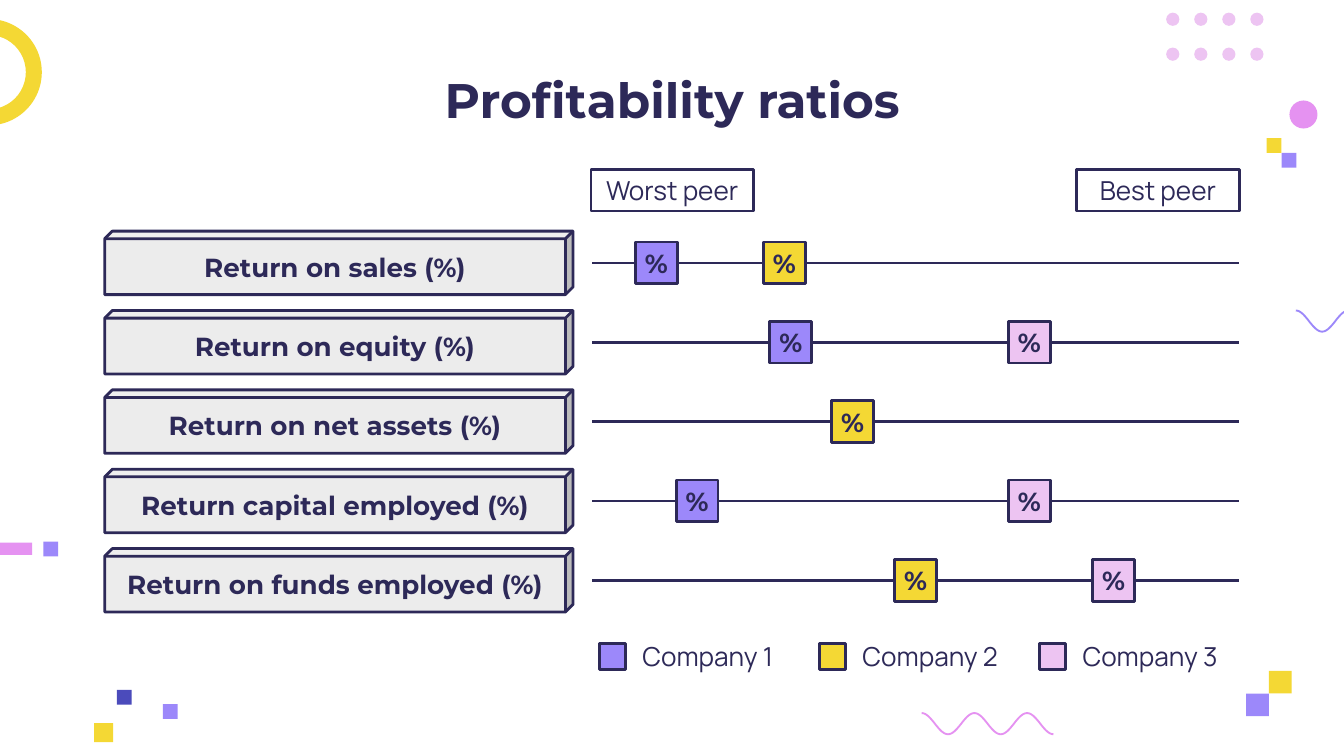
from math import cos, pi

from lxml.etree import SubElement
from pptx import Presentation
from pptx.dml.color import RGBColor
from pptx.enum.shapes import MSO_CONNECTOR, MSO_SHAPE
from pptx.enum.text import MSO_ANCHOR, PP_ALIGN
from pptx.oxml.ns import qn
from pptx.util import Cm, Pt

NAVY = RGBColor(0x2D, 0x29, 0x58)
PURPLE = RGBColor(0x9C, 0x88, 0xFA)
YELLOW = RGBColor(0xF4, 0xD8, 0x34)
LILAC = RGBColor(0xED, 0xC4, 0xF2)
PINK = RGBColor(0xE5, 0x92, 0xF1)
INDIGO = RGBColor(0x4B, 0x4B, 0xBB)
GREY = RGBColor(0xEC, 0xEC, 0xEC)

prs = Presentation()
prs.slide_width, prs.slide_height = Cm(25.4), Cm(14.29)
s = prs.slides.add_slide(prs.slide_layouts[6])


def add_shape(kind, x, y, w, h, fill=None, line=None):
    sp = s.shapes.add_shape(kind, Cm(x), Cm(y), Cm(w), Cm(h))
    sp.shadow.inherit = False
    if fill is None:
        sp.fill.background()
    else:
        sp.fill.solid()
        sp.fill.fore_color.rgb = fill
    if line is None:
        sp.line.fill.background()
    else:
        sp.line.color.rgb = line
        sp.line.width = Pt(1.5)
    return sp


def write(sp, text, font="Montserrat", size=14, bold=True,
          align=PP_ALIGN.CENTER, inset_x=0.25, inset_y=0.25):
    tf = sp.text_frame
    tf.word_wrap = True
    tf.vertical_anchor = MSO_ANCHOR.MIDDLE
    tf.margin_left = tf.margin_right = Cm(inset_x)
    tf.margin_top = tf.margin_bottom = Cm(inset_y)
    p = tf.paragraphs[0]
    p.alignment = align
    r = p.add_run()
    r.text = text
    r.font.name, r.font.size, r.font.bold = font, Pt(size), bold
    r.font.color.rgb = NAVY


# Ring, large dot and dot grid
ring = add_shape(MSO_SHAPE.DONUT, -1.22, 0.36, 2.01, 2.01, YELLOW)
ring.adjustments[0] = 0.15
add_shape(MSO_SHAPE.OVAL, 24.37, 1.9, 0.53, 0.53, PINK)
for row in range(2):
    for col in range(4):
        add_shape(MSO_SHAPE.OVAL, 22.04 + 0.53 * col, 0.24 + 0.66 * row,
                  0.25, 0.25, LILAC)

# Confetti bar and squares
add_shape(MSO_SHAPE.RECTANGLE, -1.6, 10.26, 2.21, 0.23, PINK)
for x, y, side, color in [
    (0.82, 10.24, 0.28, PURPLE),
    (1.78, 13.67, 0.36, YELLOW),
    (3.08, 13.31, 0.28, PURPLE),
    (2.21, 13.04, 0.28, INDIGO),
    (23.98, 12.68, 0.43, YELLOW),
    (23.55, 13.11, 0.43, PURPLE),
    (24.22, 2.89, 0.28, PURPLE),
    (23.94, 2.61, 0.28, YELLOW),
]:
    add_shape(MSO_SHAPE.RECTANGLE, x, y, side, side, color)

# Waves: two and a half periods each
for x, y, color in [(17.42, 13.68, PINK), (24.49, 6.07, PURPLE)]:
    points = [(Cm(x + 2.49 * i / 100), Cm(y - 0.2 * cos(5 * pi * i / 100)))
              for i in range(101)]
    builder = s.shapes.build_freeform(*points[0])
    builder.add_line_segments(points[1:], close=False)
    wave = builder.convert_to_shape()
    wave.shadow.inherit = False
    wave.fill.background()
    wave.line.color.rgb = color
    wave.line.width = Pt(1)

# Title
title = s.shapes.add_textbox(Cm(2.12), Cm(1.07), Cm(21.18), Cm(1.6))
write(title, "Profitability ratios", size=26)

# Scale ends
for x, text in [(11.17, "Worst peer"), (20.35, "Best peer")]:
    sp = add_shape(MSO_SHAPE.RECTANGLE, x, 3.2, 3.07, 0.79, line=NAVY)
    write(sp, text, font="Manrope", bold=False)

# Ratios: label, scale line and company markers
ratios = [
    ("Return on sales (%)", [(12.01, PURPLE), (14.43, YELLOW)]),
    ("Return on equity (%)", [(14.55, PURPLE), (19.06, LILAC)]),
    ("Return on net assets (%)", [(15.72, YELLOW)]),
    ("Return capital employed (%)", [(12.78, PURPLE), (19.06, LILAC)]),
    ("Return on funds employed (%)", [(16.91, YELLOW), (20.65, LILAC)]),
]
MARKER = 0.79
for i, (label, markers) in enumerate(ratios):
    cube = add_shape(MSO_SHAPE.CUBE, 1.98, 4.37 + 1.5 * i, 8.85, 1.2, GREY, NAVY)
    cube.adjustments[0] = 0.12
    write(cube, label)

    y = Cm(4.97 + 1.5 * i)
    scale = s.shapes.add_connector(MSO_CONNECTOR.STRAIGHT, Cm(11.19), y, Cm(23.42), y)
    scale.line.color.rgb = NAVY
    scale.line.width = Pt(1.5)
    SubElement(scale._element.spPr, qn("a:effectLst"))

    for x, color in markers:
        sp = add_shape(MSO_SHAPE.RECTANGLE, x, 4.97 + 1.5 * i - MARKER / 2,
                       MARKER, MARKER, color, NAVY)
        write(sp, "%", inset_x=0)

# Legend
for i, color in enumerate([PURPLE, YELLOW, LILAC]):
    x = 11.33 + 4.16 * i
    add_shape(MSO_SHAPE.RECTANGLE, x, 12.17, 0.49, 0.49, color, NAVY)
    sp = s.shapes.add_textbox(Cm(x + 0.81), Cm(12.01), Cm(2.95), Cm(0.79))
    write(sp, f"Company {i + 1}", font="Manrope", bold=False,
          align=PP_ALIGN.LEFT, inset_x=0, inset_y=0)

prs.save("out.pptx")
